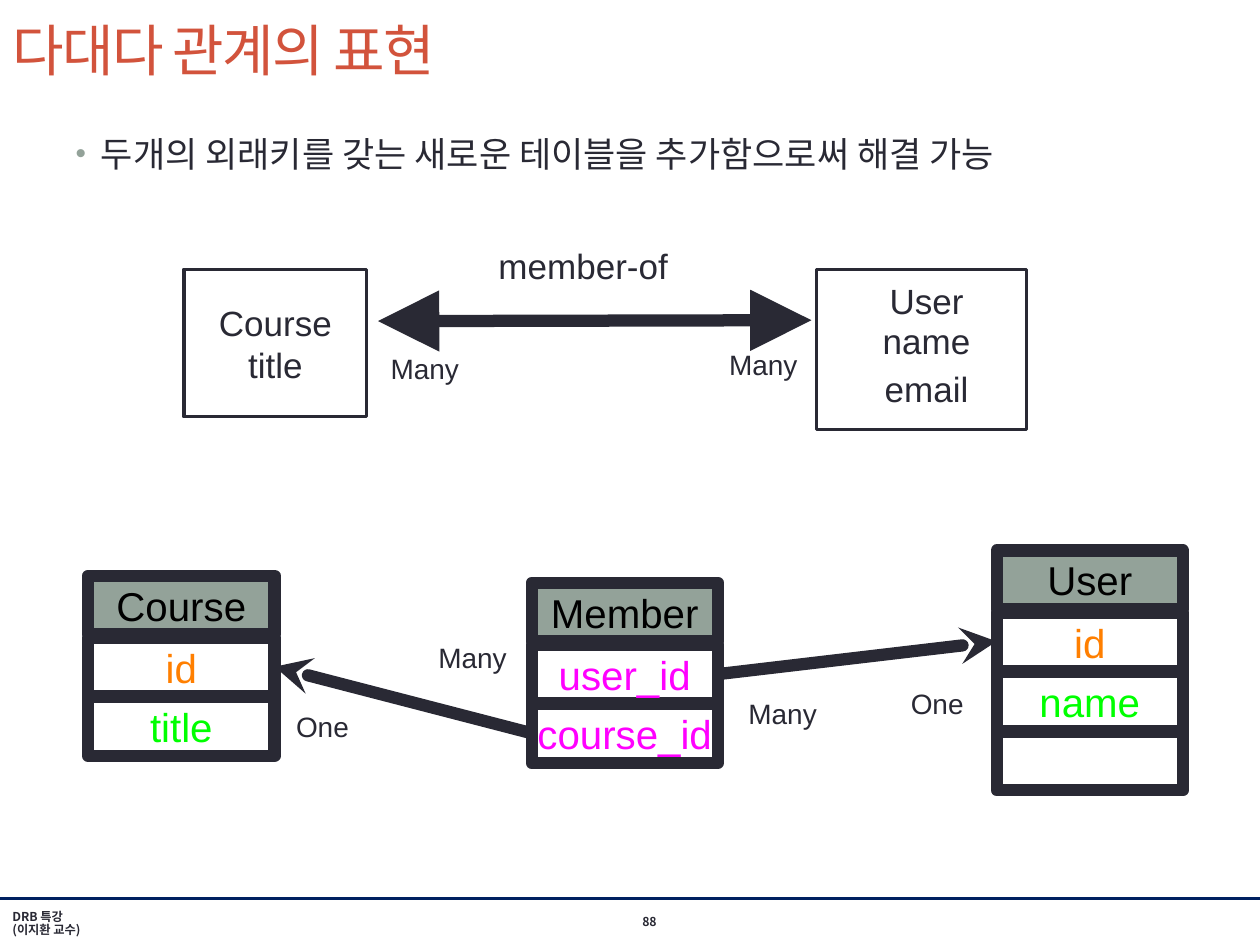
from dataclasses import dataclass

from lxml.etree import SubElement
from pptx import Presentation
from pptx.dml.color import RGBColor
from pptx.enum.shapes import MSO_CONNECTOR as Connector, MSO_SHAPE as Shape
from pptx.enum.text import MSO_ANCHOR as Anchor, MSO_AUTO_SIZE as AutoSize, PP_ALIGN as Align
from pptx.oxml.ns import qn
from pptx.util import Pt


@dataclass(frozen=True)
class Theme:
    latin: str = "Arial"
    korean: str = "Noto Sans CJK KR"
    ink: str = "292934"
    title: str = "D2533C"
    accent: str = "93A299"
    rule: str = "002060"
    header: str = "000000"
    primary_key: str = "FF7F00"
    column: str = "00FF00"
    foreign_key: str = "FF00FF"
    title_size: float = 32
    body_size: float = 20
    row_size: float = 23
    label_size: float = 16
    footer_size: float = 7
    thick: float = 7


THEME = Theme()
ROW_WIDTH, ROW_HEIGHT = 106.5, 33.5
HEADER_STEP, ROW_STEP = 35.5, 34


def apply(target, values):
    for name, value in values.items():
        setattr(target, name, value)


def place(shape, box):
    apply(shape, dict(zip(("left", "top", "width", "height"), map(Pt, box))))


def write(shape, lines, size, color=THEME.ink, font=THEME.latin, align=Align.CENTER,
          anchor=Anchor.MIDDLE, inset=(0, 0), bold=False, line_spacing=1.0):
    """Fill a shape with one paragraph per line; inset is (horizontal, vertical)."""
    frame = shape.text_frame
    across, down = map(Pt, inset)
    apply(frame, {"word_wrap": True, "auto_size": AutoSize.NONE, "vertical_anchor": anchor,
                  "margin_left": across, "margin_right": across,
                  "margin_top": down, "margin_bottom": down})
    frame.text = "\n".join(lines)
    for paragraph in frame.paragraphs:
        apply(paragraph, {"alignment": align, "space_before": Pt(0),
                          "line_spacing": line_spacing})
        run = paragraph.runs[0]
        apply(run.font, {"size": Pt(size), "bold": bold, "name": font})
        run.font.color.rgb = RGBColor.from_string(color)
        SubElement(run.font._element, qn("a:ea"), typeface=font)


def add_text(slide, box, lines, size, **style):
    text = slide.shapes.add_textbox(*map(Pt, box))
    write(text, lines, size, **style)


def add_label(slide, left, top, word):
    add_text(slide, (left, top, 55, 23), [word], THEME.label_size,
             align=Align.LEFT, anchor=Anchor.TOP, inset=(4.3, 2.2))


def add_box(slide, box, line_width, fill=None):
    outline = slide.shapes.add_shape(Shape.RECTANGLE, *map(Pt, box))
    outline.shadow.inherit = False
    if fill:
        outline.fill.solid()
        outline.fill.fore_color.rgb = RGBColor.from_string(fill)
    else:
        outline.fill.background()
    outline.line.width = Pt(line_width)
    outline.line.color.rgb = RGBColor.from_string(THEME.ink)
    return outline


def add_entity_table(slide, left, top, name, rows):
    """Stack a filled header and (text, colour) rows; empty text leaves a blank row."""
    entries = [(name, THEME.header)] + rows
    for index, (text, color) in enumerate(entries):
        offset = HEADER_STEP + (index - 1) * ROW_STEP if index else 0
        row = add_box(slide, (left, top + offset, ROW_WIDTH, ROW_HEIGHT), THEME.thick,
                      fill=None if index else THEME.accent)
        if text:
            write(row, [text], THEME.row_size, color=color)


def add_line(slide, start, end, color=THEME.ink, width=THEME.thick, ends=(), head=None, size="med"):
    """Draw a line; ends lists headEnd (at start) and tailEnd (at end)."""
    line = slide.shapes.add_connector(Connector.STRAIGHT, *map(Pt, start + end))
    line.line.width = Pt(width)
    line.line.color.rgb = RGBColor.from_string(color)
    stroke = line.line._get_or_add_ln()
    if head == "stealth":
        stroke.set("cap", "rnd")
    for tip in ends:
        SubElement(stroke, qn("a:" + tip), type=head, w=size, len=size)
    SubElement(line._element.spPr, qn("a:effectLst"))


def add_title(slide, text):
    title = slide.shapes.title
    place(title, (0, 0.7, 720, 54.7))
    write(title, [text], THEME.title_size, color=THEME.title, font=THEME.korean,
          align=Align.LEFT, inset=(7.2, 3.6))
    title.text_frame.paragraphs[0].runs[0].font._element.set("spc", "-100")


def add_bullets(slide, lines):
    body = slide.placeholders[1]
    place(body, (36, 72, 648, 424))
    write(body, lines, THEME.body_size, font=THEME.korean, align=Align.LEFT,
          anchor=Anchor.TOP, inset=(7.2, 3.6))
    for paragraph in body.text_frame.paragraphs:
        properties = paragraph._p.get_or_add_pPr()
        apply_indent = {"marL": Pt(14.4), "indent": Pt(-14.4)}
        for name, value in apply_indent.items():
            properties.set(name, str(int(value)))
        bullet_color = SubElement(properties, qn("a:buClr"))
        SubElement(bullet_color, qn("a:srgbClr"), val=THEME.accent)
        SubElement(properties, qn("a:buSzPct"), val="85000")
        SubElement(properties, qn("a:buFont"), typeface=THEME.latin)
        SubElement(properties, qn("a:buChar"), char="•")


def add_footer(slide):
    add_line(slide, (0, 513.4), (720, 513.4), color=THEME.rule, width=1.5)
    style = {"font": THEME.korean, "bold": True, "align": Align.LEFT,
             "inset": (7.2, 0), "line_spacing": 0.85}
    add_text(slide, (0, 520, 145, 16.5), ["DRB 특강", "(이지환 교수)"], THEME.footer_size, **style)
    add_text(slide, (360, 519, 36, 16.5), ["88"], THEME.footer_size, **style)


def add_concept_model(slide):
    add_box(slide, (105, 154, 104.5, 84), 2)
    add_box(slide, (466.6, 154, 120, 91.5), 2)
    add_text(slide, (122.4, 171.4, 70, 50), ["Course", "title"], THEME.body_size)
    for top, word in ((157.7, "User"), (180.7, "name"), (208, "email")):
        add_text(slide, (493.5, top, 72, 27.5), [word], THEME.body_size)
    add_text(slide, (277, 138.2, 112.5, 27.5), ["member-of"], THEME.body_size)
    add_line(slide, (216, 183.5), (463.7, 183), ends=("headEnd", "tailEnd"),
             head="triangle", size="lg")
    add_label(slide, 218.9, 198.7, "Many")
    add_label(slide, 412.3, 196.6, "Many")


def add_table_model(slide):
    add_entity_table(slide, 50.4, 329, "Course",
                     [("id", THEME.primary_key), ("title", THEME.column)])
    add_entity_table(slide, 303.8, 333, "Member",
                     [("user_id", THEME.foreign_key), ("course_id", THEME.foreign_key)])
    add_entity_table(slide, 569.5, 314.6, "User",
                     [("id", THEME.primary_key), ("name", THEME.column), ("", THEME.column)])
    for key, reference in (((157, 381), (303.8, 419)), ((569.5, 366.5), (410.4, 385.2))):
        add_line(slide, key, reference, ends=("headEnd",), head="stealth")
    for left, top, word in ((246.2, 363.6, "Many"), (164.9, 403.2, "One"),
                            (423.4, 396, "Many"), (516.2, 390.2, "One")):
        add_label(slide, left, top, word)


def main():
    deck = Presentation()
    apply(deck, {"slide_width": Pt(720), "slide_height": Pt(540)})
    slide = deck.slides.add_slide(deck.slide_layouts[1])
    add_title(slide, "다대다 관계의 표현")
    add_bullets(slide, ["두개의 외래키를 갖는 새로운 테이블을 추가함으로써 해결 가능"])
    add_concept_model(slide)
    add_table_model(slide)
    add_footer(slide)
    deck.save("out.pptx")


if __name__ == "__main__":
    main()
